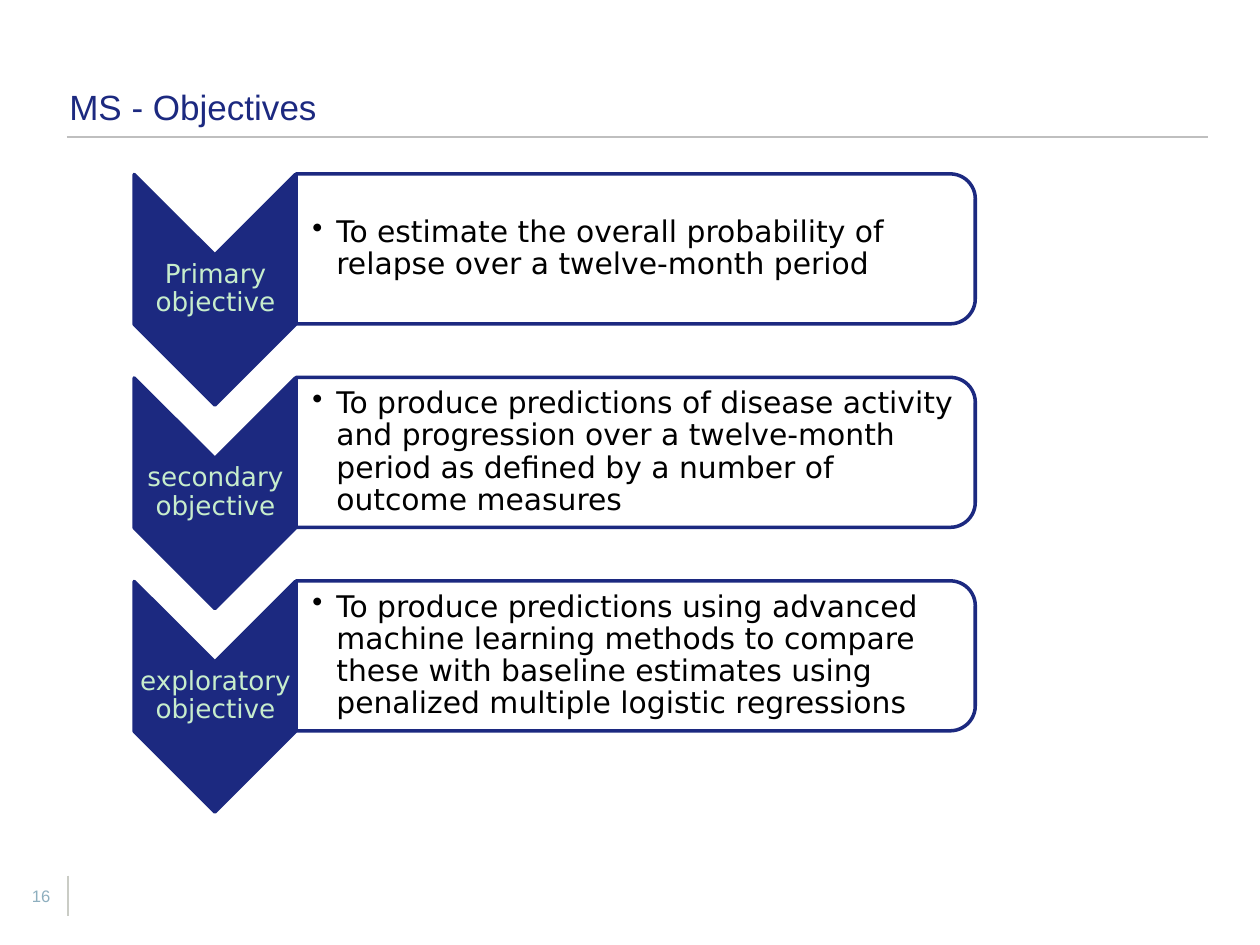
from lxml.etree import SubElement
from pptx import Presentation
from pptx.dml.color import RGBColor
from pptx.enum.shapes import MSO_CONNECTOR as Connector, MSO_SHAPE as Shape
from pptx.enum.text import MSO_ANCHOR as Anchor, PP_ALIGN as Align
from pptx.oxml.ns import qn
from pptx.util import Inches, Pt

COLORS = {
    "navy": "1C2980",
    "mint": "C7EDCC",
    "panel": "FFFFFF",
    "body": "000000",
    "title_rule": "BFBFBF",
    "footer_rule": "CACCC5",
    "page_number": "8EAFBF",
}
OBJECTIVES = [
    ("Primary objective",
     "To estimate the overall probability of relapse over a twelve-month period"),
    ("secondary objective",
     "To produce predictions of disease activity and progression over a "
     "twelve-month period as defined by a number of outcome measures"),
    ("exploratory objective",
     "To produce predictions using advanced machine learning methods to compare "
     "these with baseline estimates using penalized multiple logistic regressions"),
]
FIRST_TOP = 1.38
ROW_PITCH = 1.615


def color(name):
    """Return the named palette colour."""
    return RGBColor.from_string(COLORS[name])


def write(holder, text, size, font, color_name, align, anchor, left_inset=0.0, inset=0.0):
    """Fill a shape with one formatted paragraph and return it."""
    frame = holder.text_frame
    frame.text = text
    frame.word_wrap = True
    frame.vertical_anchor = anchor
    frame.margin_left = Inches(left_inset)
    frame.margin_top = frame.margin_right = frame.margin_bottom = Inches(inset)
    paragraph = frame.paragraphs[0]
    paragraph.alignment = align
    run_font = paragraph.runs[0].font
    run_font.size = Pt(size)
    run_font.name = font
    run_font.color.rgb = color(color_name)
    return paragraph


def add_text(slide, box, *style, **insets):
    """Add a text box with one paragraph and return the paragraph."""
    return write(slide.shapes.add_textbox(*map(Inches, box)), *style, **insets)


def add_rule(slide, start, end, color_name, width):
    """Add a flat straight line."""
    rule = slide.shapes.add_connector(Connector.STRAIGHT, *map(Inches, start + end))
    rule.line.color.rgb = color(color_name)
    rule.line.width = Pt(width)
    SubElement(rule._element.spPr, qn("a:effectLst"))


def add_turned_shape(slide, preset, box, fill_name):
    """Add a navy-outlined shape turned a quarter clockwise."""
    turned = slide.shapes.add_shape(preset, *map(Inches, box))
    turned.rotation = 90
    turned.shadow.inherit = False
    turned.fill.solid()
    turned.fill.fore_color.rgb = color(fill_name)
    turned.line.color.rgb = color("navy")
    turned.line.width = Pt(2)


def add_bullet(paragraph, indent):
    """Give a paragraph a round bullet with a hanging indent."""
    properties = paragraph._p.get_or_add_pPr()
    properties.set("marL", str(Inches(indent)))
    properties.set("indent", str(-Inches(indent)))
    SubElement(properties, qn("a:buChar"), char="•")


def add_objective(slide, top, label, statement):
    """Add one chevron with its label and the panel beside it."""
    add_turned_shape(slide, Shape.CHEVRON, (0.79, top + 0.28, 1.83, 1.28), "navy")
    heading = add_text(slide, (1.07, top + 0.64, 1.28, 0.55), label, 15, "DejaVu Sans",
                       "mint", Align.CENTER, Anchor.MIDDLE, left_inset=0.01, inset=0.01)
    heading.line_spacing = 0.9
    add_turned_shape(slide, Shape.ROUND_2_SAME_RECTANGLE, (4.45, top - 2.1, 1.19, 5.39), "panel")
    body = add_text(slide, (2.35, top + 0.06, 5.33, 1.07), statement, 17, "DejaVu Sans",
                    "body", Align.LEFT, Anchor.MIDDLE, left_inset=0.13, inset=0.01)
    body.line_spacing = 0.9
    add_bullet(body, 0.19)


def add_title(slide, text):
    """Place and format the title placeholder."""
    title = slide.shapes.title
    title.left, title.top, title.width, title.height = map(Inches, (0.55, 0, 9.04, 1.01))
    write(title, text, 20, "Arial", "navy", Align.LEFT, Anchor.BOTTOM)


def main():
    """Build and save the objectives slide."""
    deck = Presentation()
    deck.slide_width, deck.slide_height = Inches(10), Inches(7.5)
    slide = deck.slides.add_slide(deck.slide_layouts[5])
    add_text(slide, (0, 7.03, 0.4, 0.16), "16", 9.5, "Arial", "page_number",
             Align.RIGHT, Anchor.TOP)
    add_rule(slide, (0.54, 6.95), (0.54, 7.27), "footer_rule", 0.75)
    add_rule(slide, (0.53, 1.09), (9.59, 1.09), "title_rule", 1.25)
    add_title(slide, "MS - Objectives")
    for row, (label, statement) in enumerate(OBJECTIVES):
        add_objective(slide, FIRST_TOP + row * ROW_PITCH, label, statement)
    deck.save("out.pptx")


if __name__ == "__main__":
    main()
